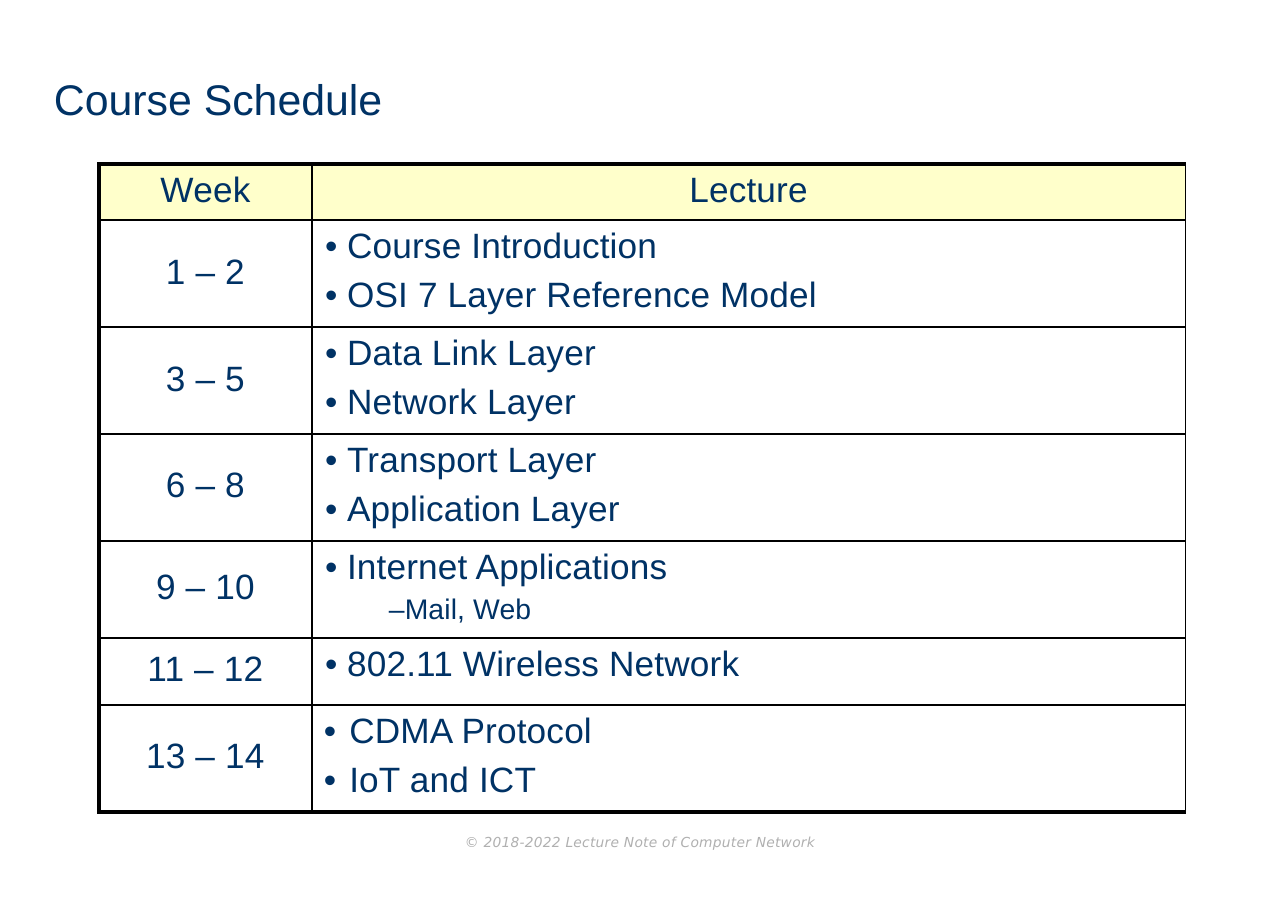
"""Build the course schedule slide."""
from lxml.etree import SubElement
from pptx import Presentation
from pptx.dml.color import RGBColor
from pptx.enum.text import MSO_ANCHOR, MSO_AUTO_SIZE, PP_ALIGN
from pptx.oxml.ns import qn
from pptx.util import Inches, Pt

NAVY = RGBColor(0x00, 0x32, 0x65)
CREAM = RGBColor(0xFF, 0xFF, 0xCB)
GREY = RGBColor(0xB0, 0xB0, 0xB0)
BLACK = RGBColor(0x00, 0x00, 0x00)

SCHEDULE = [
    ("Week", ["Lecture"], 0.51),
    ("1 – 2", ["Course Introduction", "OSI 7 Layer Reference Model"], 0.97),
    ("3 – 5", ["Data Link Layer", "Network Layer"], 0.97),
    ("6 – 8", ["Transport Layer", "Application Layer"], 0.97),
    ("9 – 10", ["Internet Applications", "–Mail, Web"], 0.88),
    ("11 – 12", ["802.11 Wireless Network"], 0.61),
    ("13 – 14", ["CDMA Protocol", "IoT and ICT"], 0.97),
]
COLUMN_WIDTHS = [1.93, 7.93]
LAST_ROW = len(SCHEDULE) - 1


def style_run(run, size, color, font_name="Arial", spacing=0.1):
    run.font.size = Pt(size)
    run.font.name = font_name
    run.font.color.rgb = color
    run.font.bold = False
    run._r.get_or_add_rPr().set("spc", str(round(spacing * 100)))


def add_border(cell, side, width):
    line = SubElement(cell._tc.get_or_add_tcPr(), qn(f"a:ln{side}"), w=str(Pt(width)))
    fill = SubElement(line, qn("a:solidFill"))
    SubElement(fill, qn("a:srgbClr"), val=str(BLACK))


presentation = Presentation()
presentation.slide_width = Inches(11.69)
presentation.slide_height = Inches(8.27)
slide = presentation.slides.add_slide(presentation.slide_layouts[5])

title = slide.shapes.title
title.left, title.top = Inches(0.48), Inches(0.64)
title.width, title.height = Inches(3.1), Inches(0.5)
title.text_frame.text = "Course Schedule"
footer = slide.shapes.add_textbox(Inches(4.21), Inches(7.55), Inches(3.4), Inches(0.19))
for shape in (title, footer):
    frame = shape.text_frame
    frame.word_wrap = True
    frame.auto_size = MSO_AUTO_SIZE.NONE
    frame.vertical_anchor = MSO_ANCHOR.TOP
    frame.margin_left = Inches(0.01)
    frame.margin_top = Inches(0.02)
    frame.margin_right = frame.margin_bottom = 0
    frame.paragraphs[0].alignment = PP_ALIGN.LEFT
style_run(title.text_frame.paragraphs[0].runs[0], 28, NAVY, spacing=0)

for text, italic in (("© ", False), ("2018-2022 Lecture Note of Computer Network", True)):
    run = footer.text_frame.paragraphs[0].add_run()
    run.text = text
    style_run(run, 9, GREY, "DejaVu Sans", 0.16)
    run.font.italic = italic

table = slide.shapes.add_table(
    len(SCHEDULE), len(COLUMN_WIDTHS), Inches(0.9), Inches(1.49),
    Inches(sum(COLUMN_WIDTHS)), Inches(sum(height for _, _, height in SCHEDULE)),
).table
table.first_row = False
table.horz_banding = False
for column, width in zip(table.columns, COLUMN_WIDTHS):
    column.width = Inches(width)

for row_index, (week, topics, height) in enumerate(SCHEDULE):
    table.rows[row_index].height = Inches(height)
    is_header = row_index == 0
    for column_index, lines in enumerate(([week], topics)):
        cell = table.cell(row_index, column_index)
        is_topic = column_index == 1 and not is_header
        cell.margin_left = cell.margin_right = 0
        cell.margin_top = Inches(0.06 if is_topic or is_header else 0)
        cell.margin_bottom = Inches(0 if is_topic or is_header else 0.03)
        cell.vertical_anchor = MSO_ANCHOR.TOP if is_topic or is_header else MSO_ANCHOR.MIDDLE
        add_border(cell, "L", 3 if column_index == 0 else 1.5)
        add_border(cell, "R", 1.5)
        add_border(cell, "T", 3 if is_header else 1.5)
        add_border(cell, "B", 3 if row_index == LAST_ROW else 1.5)
        if is_header:
            cell.fill.solid()
            cell.fill.fore_color.rgb = CREAM
        else:
            cell.fill.background()

        cell.text_frame.text = "\n".join(lines)
        for line_index, paragraph in enumerate(cell.text_frame.paragraphs):
            is_subtopic = paragraph.text.startswith("–")
            if is_topic:
                properties = paragraph._p.get_or_add_pPr()
                if is_subtopic:
                    properties.set("marL", str(Inches(0.7)))
                else:
                    indent, hanging = (0.34, 0.23) if row_index == LAST_ROW else (0.32, 0.2)
                    properties.set("marL", str(Inches(indent)))
                    properties.set("indent", str(-Inches(hanging)))
                    SubElement(properties, qn("a:buFont"), typeface="Arial")
                    SubElement(properties, qn("a:buChar"), char="•")
            paragraph.alignment = PP_ALIGN.LEFT if is_topic else PP_ALIGN.CENTER
            if line_index:
                paragraph.space_before = Pt(5 if is_subtopic else 6)
            style_run(paragraph.runs[0], 18.5 if is_subtopic else 23, NAVY)

presentation.save("out.pptx")
